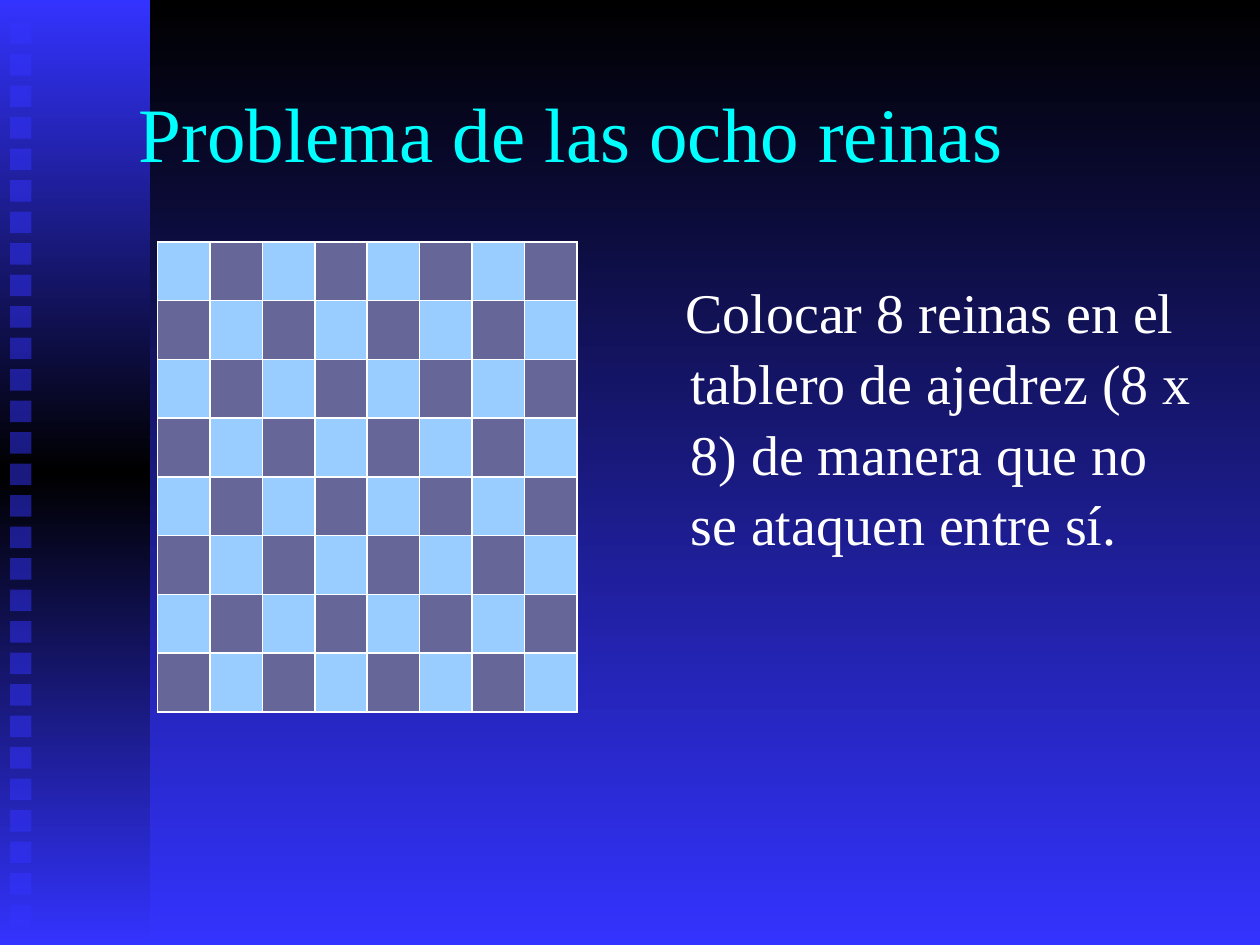
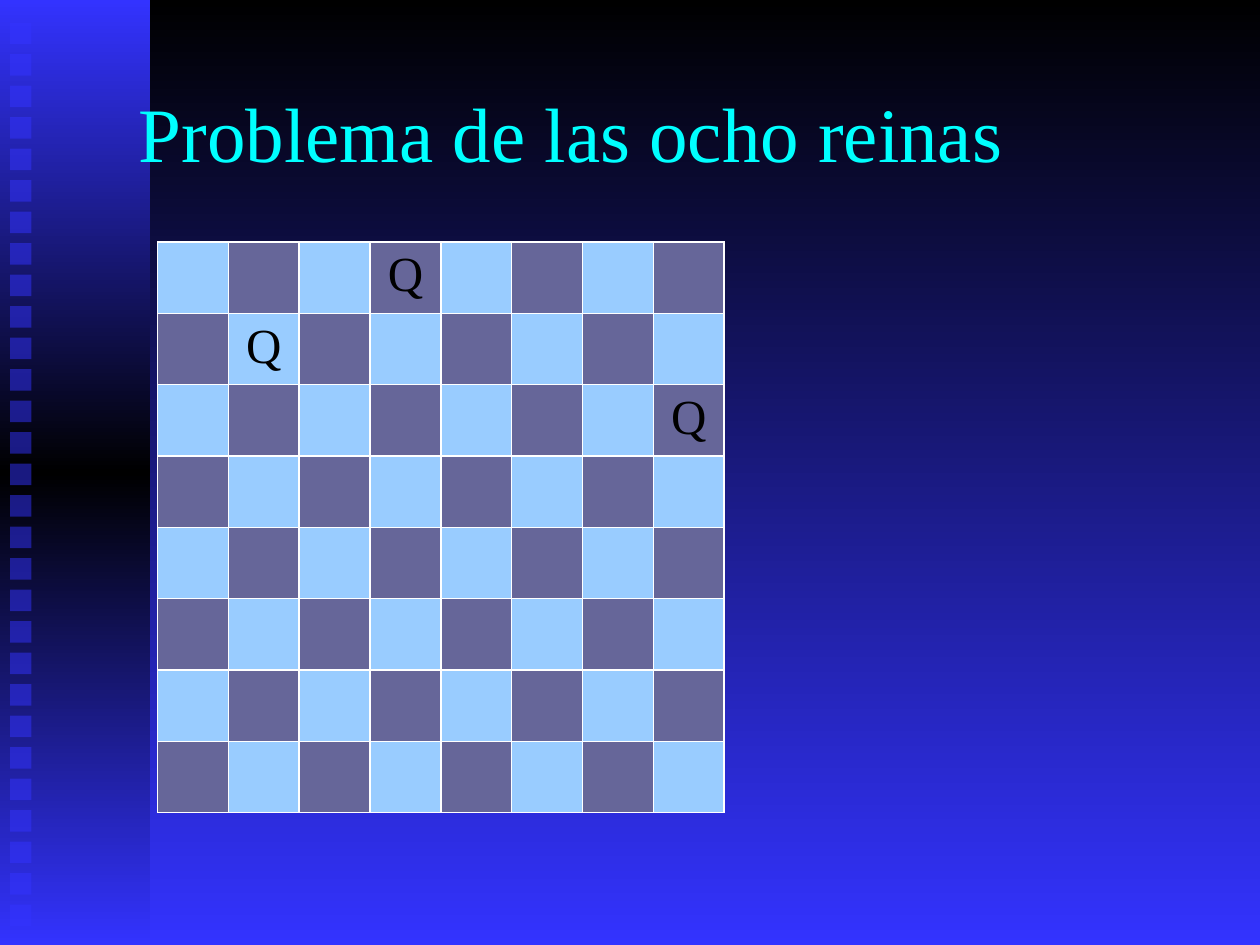
from copy import deepcopy
from dataclasses import dataclass

from lxml import etree
from pptx import Presentation
from pptx.dml import color as dml
from pptx.enum import shapes, text
from pptx.oxml import ns
from pptx.util import Inches, Pt


@dataclass(frozen=True)
class Theme:
    font: str = "Times New Roman"
    black: str = "000000"
    white: str = "FFFFFF"
    blue: str = "3333FF"
    cyan: str = "00FFFF"
    light_square: str = "99CCFF"
    dark_square: str = "666699"
    title_size: int = 44
    body_size: int = 32
    queen_size: int = 28


THEME = Theme()
BOARD_SIZE = 8
TITLE = "Problema de las ocho reinas"
STATEMENT = ("Colocar 8 reinas en el tablero de ajedrez (8 x 8) "
             "de manera que no se ataquen entre sí.")
TITLE_ONLY, TITLE_AND_BODY = 5, 1

SLIDES = [
    {"layout": TITLE_AND_BODY, "board": (3.33, 3.73), "queens": []},
    {"layout": TITLE_ONLY, "board": (4.5, 4.53), "queens": [(0, 3), (1, 1), (2, 7)]},
]


def write(frame, content, *, size, color, align=text.PP_ALIGN.LEFT, line_spacing=1.0):
    paragraph = frame.paragraphs[0]
    paragraph.text = content
    paragraph.alignment = align
    paragraph.line_spacing = line_spacing
    paragraph.space_before = Pt(0)
    paragraph.font.name = THEME.font
    paragraph.font.size = Pt(size)
    paragraph.font.color.rgb = dml.RGBColor.from_string(color)
    return paragraph


def style_square(cell, color):
    """Give a board square its white border and its fill."""
    properties = cell._tc.get_or_add_tcPr()
    for side in ("a:lnL", "a:lnR", "a:lnT", "a:lnB"):
        line = etree.SubElement(properties, ns.qn(side), w=str(Pt(1)))
        line_fill = etree.SubElement(line, ns.qn("a:solidFill"))
        etree.SubElement(line_fill, ns.qn("a:srgbClr"), val=THEME.white)
    cell.fill.solid()
    cell.fill.fore_color.rgb = dml.RGBColor.from_string(color)


presentation = Presentation()
presentation.slide_width, presentation.slide_height = Inches(10), Inches(7.5)
master = presentation.slide_master

slides = [presentation.slides.add_slide(presentation.slide_layouts[item["layout"]])
          for item in SLIDES]

# Side band and its column of small squares, shared through the master
RECTANGLE = shapes.MSO_SHAPE.RECTANGLE
drawing = slides[0].shapes
band = drawing.add_shape(RECTANGLE, 0, 0, Inches(1.19), Inches(7.5))
squares = [drawing.add_shape(RECTANGLE, Inches(0.08), Inches(0.18 + 0.25 * row),
                             Inches(0.17), Inches(0.17)) for row in range(29)]
for square in squares:
    square.fill.solid()
    square.fill.fore_color.rgb = dml.RGBColor.from_string(THEME.blue)
    square_color = square.element.spPr.find(".//" + ns.qn("a:srgbClr"))
    etree.SubElement(square_color, ns.qn("a:alpha"), val="50000")

background_fill = master.background.fill
background_fill.gradient()
band.fill.gradient()
last_stop = band.element.spPr.findall(".//" + ns.qn("a:gs"))[-1]
last_stop.addnext(deepcopy(last_stop))
for fill, colors in ((background_fill, (THEME.black, THEME.blue)),
                     (band.fill, (THEME.blue, THEME.black, THEME.blue))):
    fill.gradient_angle = 270
    for index, (stop, color) in enumerate(zip(fill.gradient_stops, colors)):
        stop.position = index / (len(colors) - 1)
        stop.color.rgb = dml.RGBColor.from_string(color)

for index, shape in enumerate([band, *squares]):
    shape.line.fill.background()
    shape.shadow.inherit = False
    shape.element.nvSpPr.cNvPr.set("id", str(100 + index))
    master.element.cSld.spTree.insert(2 + index, shape.element)

for slide, item in zip(slides, SLIDES):
    title = slide.shapes.title
    title.left, title.top = Inches(1), Inches(0.42)
    title.width, title.height = Inches(8.5), Inches(1.25)
    title.text_frame.vertical_anchor = text.MSO_ANCHOR.MIDDLE
    title.text_frame.auto_size = text.MSO_AUTO_SIZE.NONE
    write(title.text_frame, TITLE, size=THEME.title_size, color=THEME.cyan)

    if item["layout"] == TITLE_AND_BODY:
        body = slide.placeholders[1]
        body.left, body.top = Inches(5), Inches(2.08)
        body.width, body.height = Inches(4.58), Inches(4.92)
        body.text_frame.auto_size = text.MSO_AUTO_SIZE.NONE
        body.text_frame.margin_top = Inches(0.1)
        properties = body.text_frame.paragraphs[0]._p.get_or_add_pPr()
        properties.set("marL", str(Inches(0.38)))
        properties.set("indent", str(Inches(-0.04)))
        etree.SubElement(properties, ns.qn("a:buNone"))
        write(body.text_frame, STATEMENT, size=THEME.body_size, color=THEME.white,
              line_spacing=1.05)

    width, height = item["board"]
    board = slide.shapes.add_table(BOARD_SIZE, BOARD_SIZE, Inches(1.25), Inches(1.92),
                                   Inches(width), Inches(height)).table
    board.first_row = board.horz_banding = False
    for row in range(BOARD_SIZE):
        board.rows[row].height = Inches(height / BOARD_SIZE)
        board.columns[row].width = Inches(width / BOARD_SIZE)
        for column in range(BOARD_SIZE):
            is_dark = (row + column) % 2
            style_square(board.cell(row, column),
                         THEME.dark_square if is_dark else THEME.light_square)
    for row, column in item["queens"]:
        write(board.cell(row, column).text_frame, "Q", size=THEME.queen_size,
              color=THEME.black, align=text.PP_ALIGN.CENTER)

presentation.save("out.pptx")
